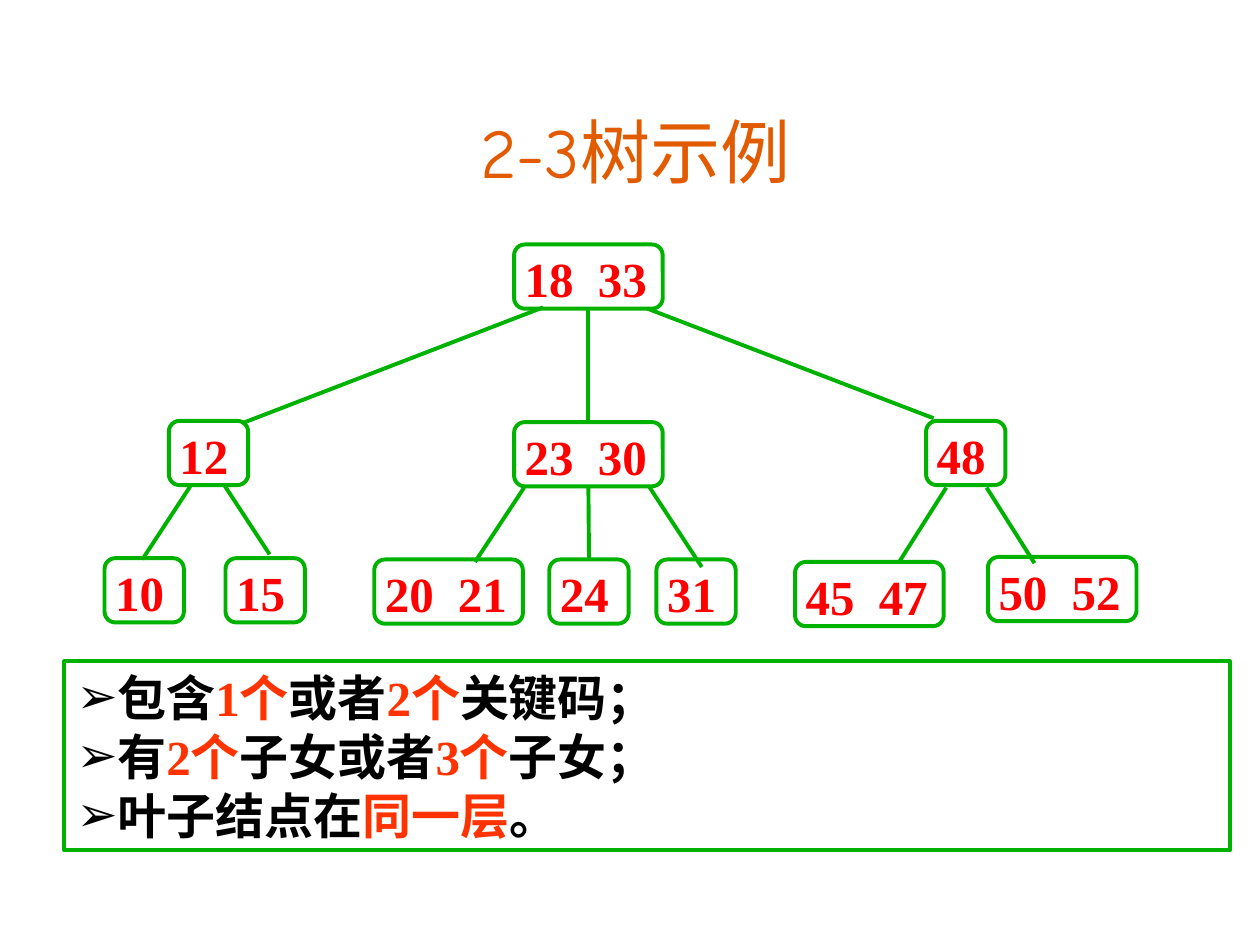
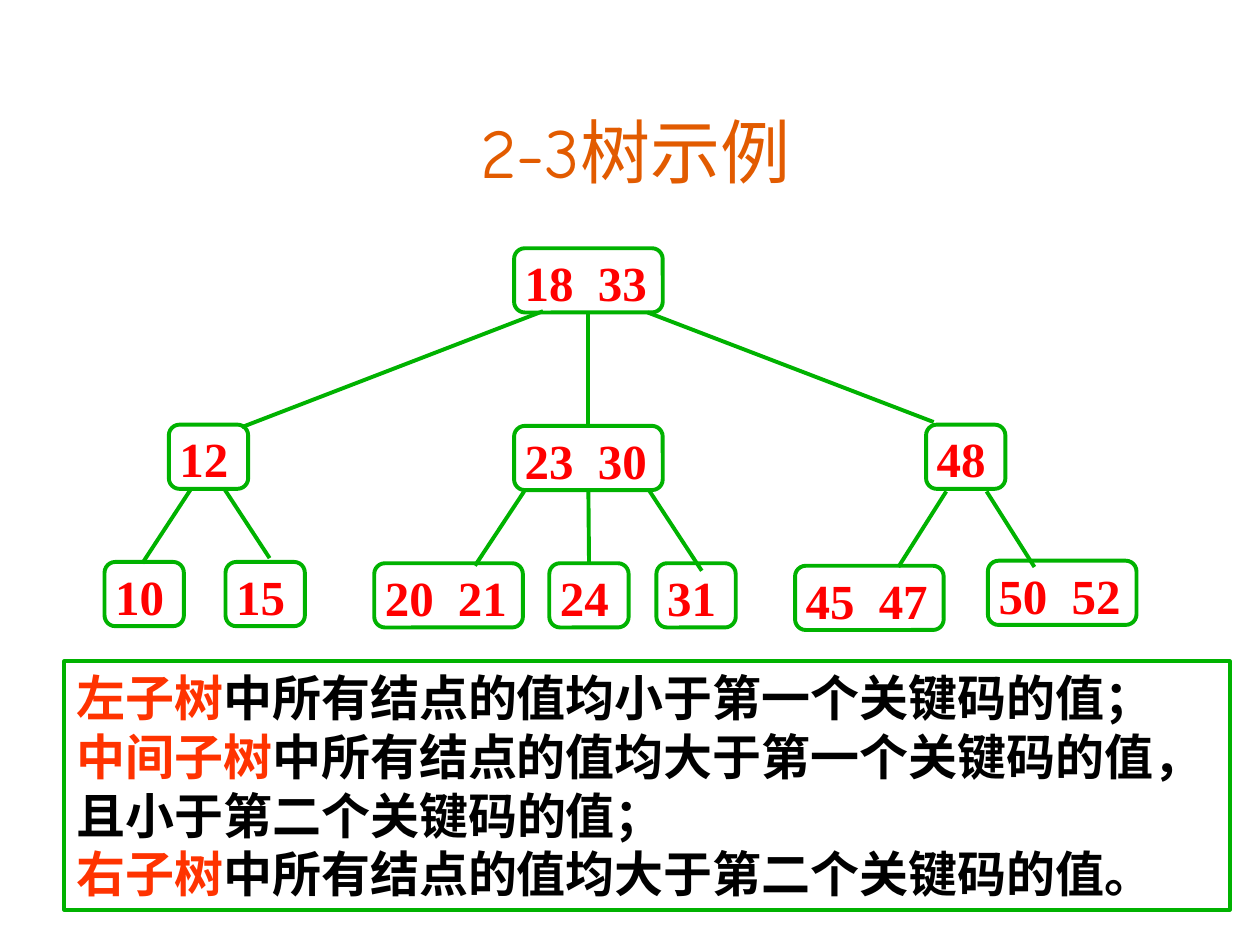
import pptx
import pptx.dml.color
import pptx.enum.shapes
import pptx.enum.text
import pptx.oxml
import pptx.oxml.ns
import pptx.util
from pptx.util import Inches

GREEN = pptx.dml.color.RGBColor(0x00, 0xB2, 0x00)
RED = pptx.dml.color.RGBColor(0xFF, 0x00, 0x00)
ORANGE = pptx.dml.color.RGBColor(0xE2, 0x5B, 0x00)
HIGHLIGHT = pptx.dml.color.RGBColor(0xFF, 0x33, 0x00)
BLACK = pptx.dml.color.RGBColor(0x00, 0x00, 0x00)

SERIF, SANS, TITLE_FONT = "Times New Roman", "Arial", "Comic Neue"
TITLE = "2-3树示例"
BODY_SIZE = 28
NODE_HEIGHT = 0.51
NODE_WIDTHS = {1: 0.63, 2: 1.18}  # by number of keys
SECOND_KEY_TAB = 0.58

# Keys of each node with its left and top
NODES = [
    ((18, 33), 4.08, 1.94),
    ((12,), 1.34, 3.34), ((23, 30), 4.08, 3.35), ((48,), 7.35, 3.34),
    ((10,), 0.83, 4.43), ((15,), 1.79, 4.43),
    ((20, 21), 2.97, 4.44), ((24,), 4.36, 4.44), ((31,), 5.21, 4.44),
    ((45, 47), 6.31, 4.46), ((50, 52), 7.84, 4.42),
]
# Outer branches: start x, start y, end x, end y
SLANTED_BRANCHES = [
    (4.31, 2.44, 1.92, 3.36), (5.14, 2.45, 7.41, 3.32),
    (1.51, 3.86, 1.13, 4.44), (1.78, 3.85, 2.14, 4.40),
    (4.16, 3.87, 3.77, 4.46), (5.15, 3.86, 5.57, 4.50),
    (7.51, 3.87, 7.13, 4.47), (7.83, 3.87, 8.21, 4.47),
]
# Middle branches run from bottom centre to top centre
MIDDLE_BRANCHES = [((18, 33), (23, 30)), ((23, 30), (24,))]

# Each paragraph is a list of (text, colour) runs
DEFINITION = [
    [("包含", BLACK), ("1个", HIGHLIGHT), ("或者", BLACK),
     ("2个", HIGHLIGHT), ("关键码；", BLACK)],
    [("有", BLACK), ("2个", HIGHLIGHT), ("子女或者", BLACK),
     ("3个", HIGHLIGHT), ("子女；", BLACK)],
    [("叶子结点在", BLACK), ("同一层", HIGHLIGHT), ("。", BLACK)],
]
ORDERING = [
    [("左子树", HIGHLIGHT), ("中所有结点的值均小于第一个关键码的值；", BLACK)],
    [("中间子树", HIGHLIGHT),
     ("中所有结点的值均大于第一个关键码的值，且小于第二个关键码的值；", BLACK)],
    [("右子树", HIGHLIGHT), ("中所有结点的值均大于第二个关键码的值。", BLACK)],
]


def add_property(paragraph, tag, **attributes):
    """Append a bullet or tab element to the paragraph properties."""
    properties = paragraph._p.get_or_add_pPr()
    element = pptx.oxml.parse_xml(f"<a:{tag} {pptx.oxml.ns.nsdecls('a')}/>")
    for name, value in attributes.items():
        element.set(name, value)
    properties.append(element)
    return element


class TreeDeck:
    def __init__(self):
        self.presentation = pptx.Presentation()
        self.presentation.slide_width = Inches(10)
        self.presentation.slide_height = Inches(7.5)
        self.slide = None

    def start_slide(self):
        blank = self.presentation.slide_layouts[6]
        self.slide = self.presentation.slides.add_slide(blank)
        self.add_title(TITLE)

    def add_run(self, paragraph, text, colour, font, size=BODY_SIZE, bold=True):
        run = paragraph.add_run()
        run.text = text
        run.font.name = font
        run.font.size = pptx.util.Pt(size)
        run.font.bold = bold
        run.font.color.rgb = colour

    def add_title(self, text):
        box = self.slide.shapes.add_textbox(
            Inches(0.75), Inches(0.75), Inches(8.58), Inches(0.83))
        frame = box.text_frame
        frame.word_wrap = True
        frame.vertical_anchor = pptx.enum.text.MSO_ANCHOR.BOTTOM
        paragraph = frame.paragraphs[0]
        paragraph.alignment = pptx.enum.text.PP_ALIGN.CENTER
        self.add_run(paragraph, text, ORANGE, TITLE_FONT, 40, False)

    def set_outline(self, line):
        line.color.rgb = GREEN
        line.width = pptx.util.Pt(2.25)

    def add_outlined_shape(self, kind, left, top, width, height):
        shape = self.slide.shapes.add_shape(
            kind, Inches(left), Inches(top), Inches(width), Inches(height))
        shape.shadow.inherit = False
        shape.fill.background()
        self.set_outline(shape.line)
        shape.text_frame.word_wrap = True
        shape.text_frame.vertical_anchor = pptx.enum.text.MSO_ANCHOR.TOP
        return shape

    def format_body(self, paragraph):
        paragraph.alignment = pptx.enum.text.PP_ALIGN.LEFT
        paragraph.line_spacing = pptx.util.Pt(1.2 * BODY_SIZE)

    def add_node(self, keys, left, top):
        shape = self.add_outlined_shape(
            pptx.enum.shapes.MSO_SHAPE.ROUNDED_RECTANGLE,
            left, top, NODE_WIDTHS[len(keys)], NODE_HEIGHT)
        shape.adjustments[0] = 0.167
        frame = shape.text_frame
        frame.margin_left, frame.margin_right = Inches(0.06), Inches(0.02)
        frame.margin_top = frame.margin_bottom = Inches(0.01)
        paragraph = frame.paragraphs[0]
        self.format_body(paragraph)
        if len(keys) > 1:
            tabs = add_property(paragraph, "tabLst")
            tab = pptx.oxml.parse_xml(f"<a:tab {pptx.oxml.ns.nsdecls('a')}/>")
            tab.set("pos", str(Inches(SECOND_KEY_TAB)))
            tab.set("algn", "l")
            tabs.append(tab)
        self.add_run(paragraph, "\t".join(map(str, keys)), RED, SERIF)
        return shape

    def add_branch(self, start_x, start_y, end_x, end_y):
        branch = self.slide.shapes.add_connector(
            pptx.enum.shapes.MSO_CONNECTOR.STRAIGHT,
            Inches(start_x), Inches(start_y), Inches(end_x), Inches(end_y))
        self.set_outline(branch.line)
        branch._element.spPr.append(pptx.oxml.parse_xml(
            f"<a:effectLst {pptx.oxml.ns.nsdecls('a')}/>"))
        return branch

    def add_tree(self, shift=0):
        """Draw the whole tree, lowered by shift inches."""
        nodes = {keys: self.add_node(keys, left, top + shift)
                 for keys, left, top in NODES}
        for start_x, start_y, end_x, end_y in SLANTED_BRANCHES:
            self.add_branch(start_x, start_y + shift, end_x, end_y + shift)
        for parent, child in MIDDLE_BRANCHES:
            branch = self.add_branch(0, 0, 1, 1)
            branch.begin_connect(nodes[parent], 2)
            branch.end_connect(nodes[child], 0)

    def add_rules(self, paragraphs, height, font, bulleted=False):
        shape = self.add_outlined_shape(
            pptx.enum.shapes.MSO_SHAPE.RECTANGLE, 0.51, 5.25, 9.25, height)
        frame = shape.text_frame
        for index, runs in enumerate(paragraphs):
            paragraph = frame.add_paragraph() if index else frame.paragraphs[0]
            self.format_body(paragraph)
            if bulleted:
                colour = add_property(paragraph, "buClr")
                colour.append(pptx.oxml.parse_xml(
                    f'<a:srgbClr {pptx.oxml.ns.nsdecls("a")} val="{BLACK}"/>'))
                add_property(paragraph, "buFont", typeface=SANS)
                add_property(paragraph, "buChar", char="➢")
            for text, colour in runs:
                self.add_run(paragraph, text, colour, font)


def main():
    deck = TreeDeck()
    deck.start_slide()
    deck.add_tree()
    deck.add_rules(DEFINITION, 1.5, SERIF, bulleted=True)

    deck.start_slide()
    deck.add_tree(shift=0.03)
    deck.add_rules(ORDERING, 1.97, SANS)

    deck.presentation.save("out.pptx")


if __name__ == "__main__":
    main()
